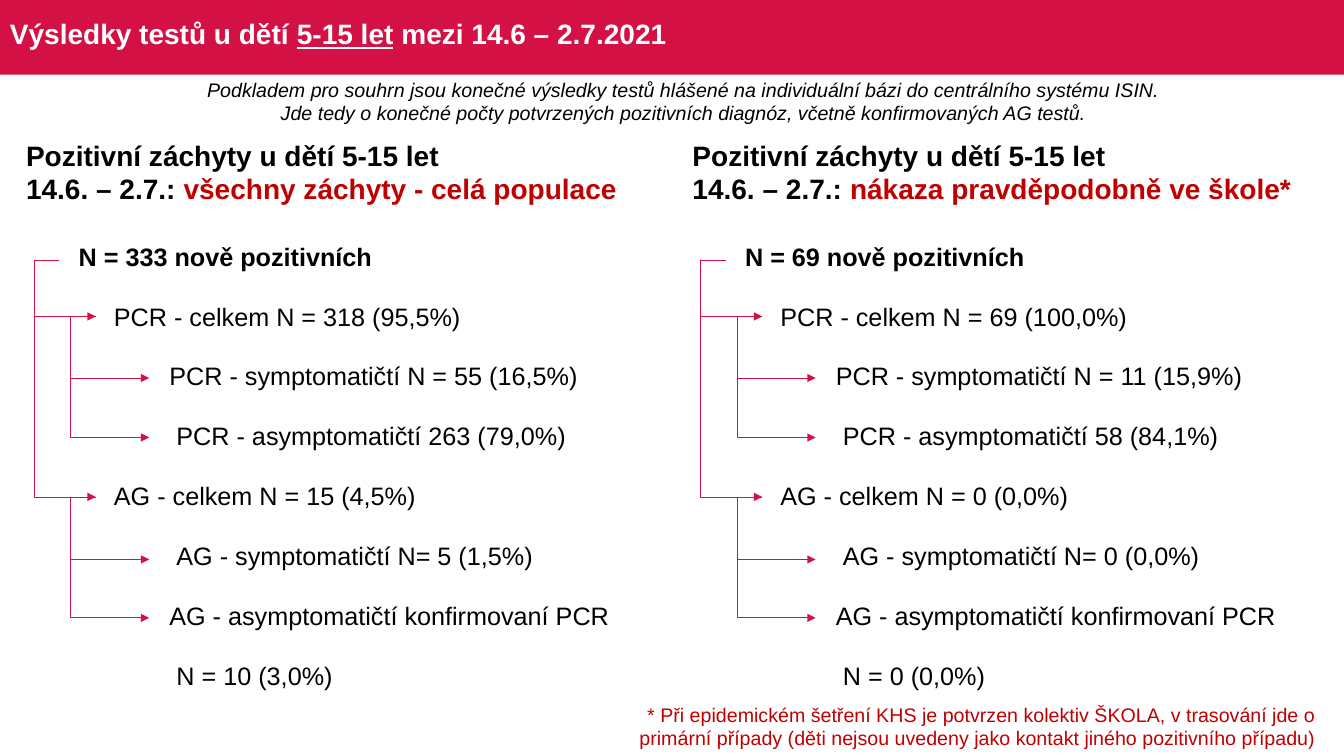
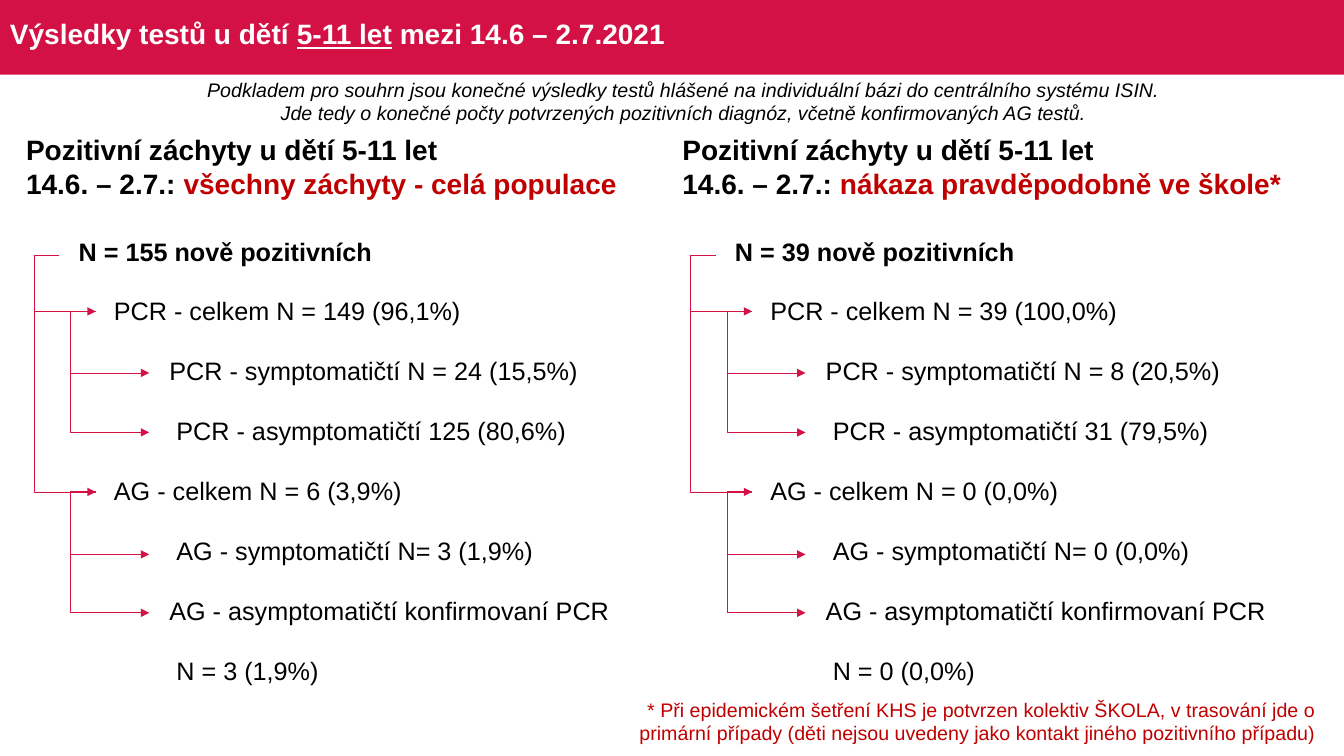
import pptx
import pptx.util
import pptx.dml.color
import pptx.enum.shapes
import pptx.enum.text
import pptx.oxml.ns
import lxml.etree

Inches = pptx.util.Inches
Pt = pptx.util.Pt
qn = pptx.oxml.ns.qn
ALIGN = pptx.enum.text.PP_ALIGN
MIDDLE = pptx.enum.text.MSO_ANCHOR.MIDDLE

COLORS = {"brand": "D31145", "accent": "C00000", "text": "000000", "white": "FFFFFF"}
FONT = "Arial"

INTRO = [
    "Podkladem pro souhrn jsou konečné výsledky testů hlášené na individuální bázi do centrálního systému ISIN.",
    "Jde tedy o konečné počty potvrzených pozitivních diagnóz, včetně konfirmovaných AG testů.",
]
FOOTNOTE = ("* Při epidemickém šetření KHS je potvrzen kolektiv ŠKOLA, v trasování jde o "
            "primární případy (děti nejsou uvedeny jako kontakt jiného pozitivního případu)")
SCOPES = ["všechny záchyty - celá populace", "nákaza pravděpodobně ve škole*"]

# Row label and its indent in inches
ROWS = [
    ("N = {} nově pozitivních", 0),
    ("PCR - celkem N = {}", 0.35),
    ("PCR - symptomatičtí N = {}", 0.9),
    ("PCR - asymptomatičtí {}", 0.97),
    ("AG - celkem N = {}", 0.35),
    ("AG - symptomatičtí N= {}", 0.97),
    ("AG - asymptomatičtí konfirmovaní PCR", 0.9),
    ("N = {}", 0.97),
]
ROW_H = 0.595

# Brackets relative to the panel's left edge and the table's top:
# start x, start y, end x, end y, x of the vertical stem
BRACKETS = [
    (0.59, 0.33, 0.95, 2.68, 0.34),
    (0.59, 0.33, 0.95, 0.89, 0.34),
    (0.95, 0.89, 1.48, 1.5, 0.7),
    (0.95, 0.89, 1.48, 2.09, 0.7),
    (0.95, 2.68, 1.48, 3.3, 0.7),
    (0.95, 2.68, 1.48, 3.88, 0.7),
]

# Values of each panel, one per row (the seventh row has none)
SLIDES = [
    {"age": "5-15 let", "top": 2.25, "lefts": [0, 6.61], "values": [
        ["333", "318 (95,5%)", "55 (16,5%)", "263 (79,0%)", "15 (4,5%)", "5 (1,5%)", "", "10 (3,0%)"],
        ["69", "69 (100,0%)", "11 (15,9%)", "58 (84,1%)", "0 (0,0%)", "0 (0,0%)", "", "0 (0,0%)"],
    ]},
    {"age": "5-11 let", "top": 2.2, "lefts": [0, 6.51], "values": [
        ["155", "149 (96,1%)", "24 (15,5%)", "125 (80,6%)", "6 (3,9%)", "3 (1,9%)", "", "3 (1,9%)"],
        ["39", "39 (100,0%)", "8 (20,5%)", "31 (79,5%)", "0 (0,0%)", "0 (0,0%)", "", "0 (0,0%)"],
    ]},
]


def add_run(p, text, size, color="text", bold=False, italic=False, underline=False):
    r = p.add_run()
    r.text = text
    r.font.name = FONT
    r.font.size = Pt(size)
    r.font.bold = bold
    r.font.italic = italic
    r.font.underline = underline
    r.font.color.rgb = pptx.dml.color.RGBColor.from_string(COLORS[color])


def add_text(s, left, top, width, height):
    tf = s.shapes.add_textbox(Inches(left), Inches(top), Inches(width), Inches(height)).text_frame
    tf.word_wrap = True
    return tf


prs = pptx.Presentation()
prs.slide_width = Inches(13.33)
prs.slide_height = Inches(7.5)
brand = pptx.dml.color.RGBColor.from_string(COLORS["brand"])

for data in SLIDES:
    s = prs.slides.add_slide(prs.slide_layouts[6])
    top = data["top"]

    band = s.shapes.add_shape(pptx.enum.shapes.MSO_SHAPE.RECTANGLE, 0, 0, prs.slide_width, Inches(0.74))
    band.shadow.inherit = False
    band.fill.solid()
    band.fill.fore_color.rgb = brand
    band.line.fill.background()

    tf = add_text(s, 0, 0.04, 13.15, 0.63)
    tf.vertical_anchor = MIDDLE
    p = tf.paragraphs[0]
    p.line_spacing = 0.9
    add_run(p, "Výsledky testů u dětí ", 20, "white", bold=True)
    add_run(p, data["age"], 20, "white", bold=True, underline=True)
    add_run(p, " mezi 14.6 – 2.7.2021", 20, "white", bold=True)

    for left, scope, values in zip(data["lefts"], SCOPES, data["values"]):
        table = s.shapes.add_table(len(ROWS), 1, Inches(left + 0.77), Inches(top),
                                   Inches(5.9), Inches(ROW_H * len(ROWS))).table
        table.first_row = False
        table.horz_banding = False
        for i, ((label, indent), value) in enumerate(zip(ROWS, values)):
            cell = table.cell(i, 0)
            cell.fill.background()
            cell.vertical_anchor = MIDDLE
            cell.margin_left = Inches(0.01 + indent)
            cell.margin_right = cell.margin_top = Inches(0.01)
            cell.margin_bottom = 0
            add_run(cell.text_frame.paragraphs[0], label.format(value), 18, bold=i == 0)

        tf = add_text(s, left + 0.16, top - 0.93, 6.34, 0.77)
        add_run(tf.paragraphs[0], f"Pozitivní záchyty u dětí {data['age']}", 20, bold=True)
        p = tf.add_paragraph()
        add_run(p, "14.6. – 2.7.: ", 20, bold=True)
        add_run(p, scope, 20, "accent", bold=True)

        for x1, y1, x2, y2, stem in BRACKETS:
            c = s.shapes.add_connector(pptx.enum.shapes.MSO_CONNECTOR.ELBOW,
                                       Inches(left + x1), Inches(top + y1),
                                       Inches(left + x2), Inches(top + y2))
            c.line.color.rgb = brand
            c.line.width = Pt(0.5)
            sp_pr = c.line._get_or_add_ln().getparent()
            lxml.etree.SubElement(sp_pr.find(qn("a:ln")), qn("a:tailEnd"), type="triangle")
            lxml.etree.SubElement(sp_pr, qn("a:effectLst"))
            bend = round((stem - x1) / (x2 - x1) * 100000)
            guides = sp_pr.find(qn("a:prstGeom")).find(qn("a:avLst"))
            lxml.etree.SubElement(guides, qn("a:gd"), name="adj1", fmla=f"val {bend}")

    p = add_text(s, 6.2, top + 4.67, 6.95, 0.57).paragraphs[0]
    p.alignment = ALIGN.RIGHT
    add_run(p, FOOTNOTE, 14, "accent")

    tf = add_text(s, 1.79, 0.72, 9.98, 0.57)
    tf.add_paragraph()
    for p, line in zip(tf.paragraphs, INTRO):
        p.alignment = ALIGN.CENTER
        add_run(p, line, 14, italic=True)

prs.save("out.pptx")
